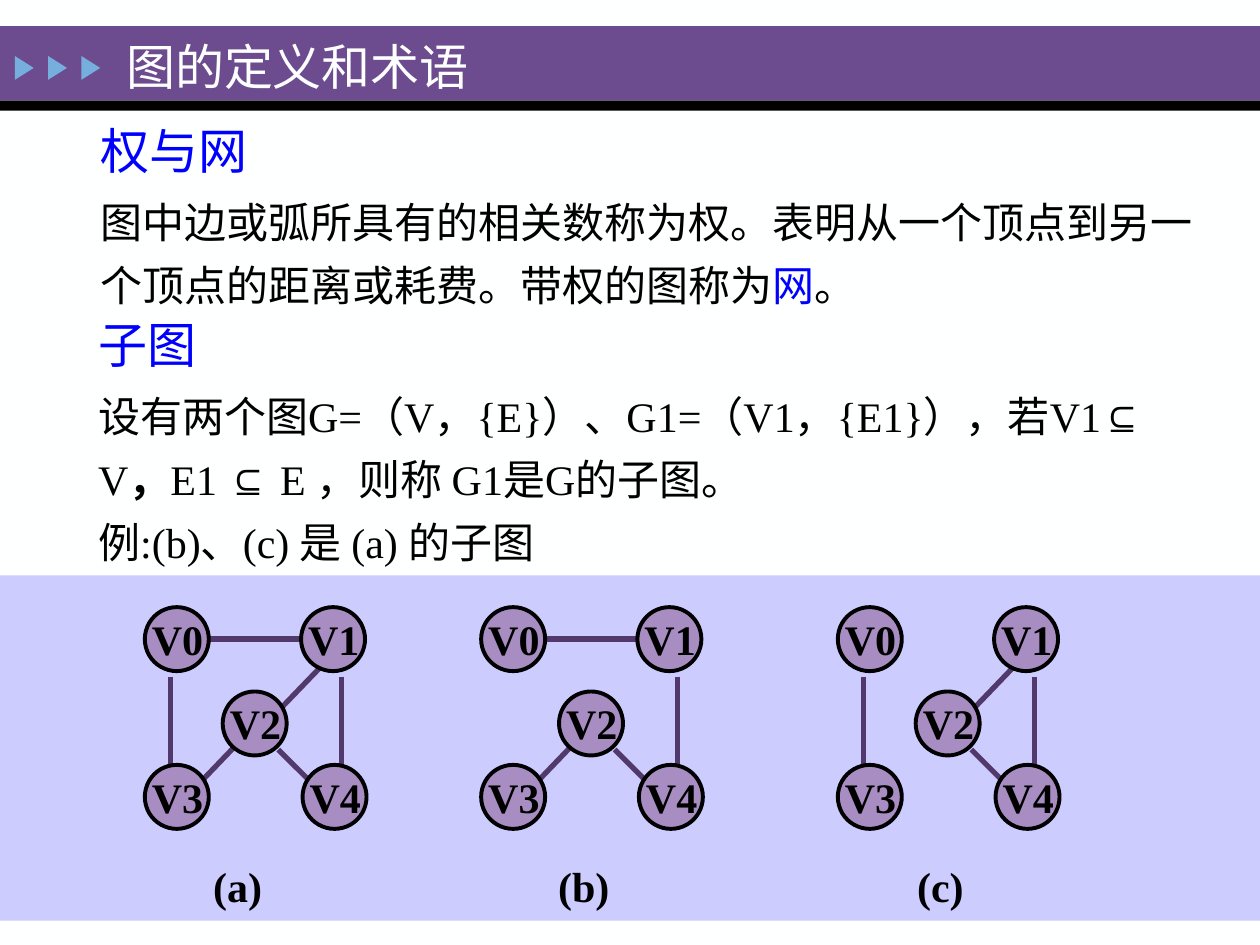
from lxml.etree import SubElement
from pptx import Presentation
from pptx.dml.color import RGBColor
from pptx.enum.shapes import MSO_CONNECTOR, MSO_SHAPE
from pptx.enum.text import MSO_ANCHOR, MSO_AUTO_SIZE, PP_ALIGN
from pptx.oxml.ns import qn
from pptx.util import Cm, Pt

COLORS = {
    "background": "FEFFFF",
    "banner": "6C4C8F",
    "arrow": "76AEDD",
    "panel": "CCCCFF",
    "node": "A78DC2",
    "edge": "51396B",
    "heading": "0000FF",
    "text": "000000",
}
FONT = "Times New Roman"

# Vertices and edges in cm, measured from the top left corner of a graph
NODE_SIZE = 1.29
NODES = {
    "V0": (0, 0),
    "V1": (3.15, 0),
    "V2": (1.57, 1.7),
    "V3": (0, 3.18),
    "V4": (3.18, 3.18),
}
EDGES = {
    "V0-V1": (1.27, 0.64, 3.35, 0.64),
    "V0-V3": (0.51, 1.4, 0.51, 3.23),
    "V1-V2": (3.51, 1.24, 2.77, 2.01),
    "V1-V4": (3.96, 1.4, 3.96, 3.23),
    "V2-V3": (1.85, 2.77, 1.12, 3.53),
    "V2-V4": (2.69, 2.87, 3.35, 3.53),
}
GRAPH_TOP = 12.24
# Caption, left of the graph, left of the caption, edges
GRAPHS = [
    ("(a)", 2.92, 3.23, list(EDGES)),
    ("(b)", 9.7, 10.21, ["V0-V1", "V1-V4", "V2-V3", "V2-V4"]),
    ("(c)", 16.89, 17.4, ["V0-V3", "V1-V2", "V1-V4", "V2-V4"]),
]


def rgb(name):
    return RGBColor.from_string(COLORS[name])


def style(font, size, color="text", bold=False):
    font.name = FONT
    font.size = Pt(size)
    font.bold = bold
    font.color.rgb = rgb(color)


def add_filled(shapes, kind, left, top, width, height, color):
    shape = shapes.add_shape(kind, Cm(left), Cm(top), Cm(width), Cm(height))
    shape.shadow.inherit = False
    shape.fill.solid()
    shape.fill.fore_color.rgb = rgb(color)
    shape.line.fill.background()
    return shape


def add_text(shapes, left, top, width, height, wrap=True):
    """Add a growing text box and return its first paragraph."""
    frame = shapes.add_textbox(Cm(left), Cm(top), Cm(width), Cm(height)).text_frame
    frame.word_wrap = wrap
    frame.auto_size = MSO_AUTO_SIZE.SHAPE_TO_FIT_TEXT
    return frame.paragraphs[0]


def add_heading(shapes, text, left, top, width, wrap=True):
    heading = add_text(shapes, left, top, width, 1.45, wrap)
    heading.text = text
    style(heading.font, 28, "heading")


def add_label(shapes, text, left, top, width):
    label = add_text(shapes, left, top, width, 1.27)
    label.text = text
    label.alignment = PP_ALIGN.CENTER
    style(label.font, 24, bold=True)


def add_body(shapes, left, top, width, height):
    body = add_text(shapes, left, top, width, height)
    body.line_spacing = 1.25
    style(body.font, 24)
    return body


def add_edge(shapes, left, x1, y1, x2, y2):
    edge = shapes.add_connector(
        MSO_CONNECTOR.STRAIGHT,
        Cm(left + x1), Cm(GRAPH_TOP + y1), Cm(left + x2), Cm(GRAPH_TOP + y2),
    )
    edge.line.color.rgb = rgb("edge")
    edge.line.width = Pt(3)
    SubElement(edge._element.spPr, qn("a:effectLst"))


def add_node(shapes, name, left, top):
    node = add_filled(shapes, MSO_SHAPE.OVAL, left, top, NODE_SIZE, NODE_SIZE, "node")
    node.line.color.rgb = rgb("text")
    node.line.width = Pt(2.25)
    add_label(shapes, name, left - 0.24, top, 1.8)


def add_graph(slide, left, edges):
    graph = slide.shapes.add_group_shape().shapes
    for edge in edges:
        add_edge(graph, left, *EDGES[edge])
    for name, (x, y) in NODES.items():
        add_node(graph, name, left + x, GRAPH_TOP + y)


def add_banner(slide):
    shapes = slide.shapes
    add_filled(shapes, MSO_SHAPE.RECTANGLE, 0, 0.53, 25.4, 1.5, "banner")
    add_filled(shapes, MSO_SHAPE.RECTANGLE, 0, 2.03, 25.4, 0.2, "text")
    arrows = shapes.add_group_shape().shapes
    for i in range(3):
        arrow = add_filled(arrows, MSO_SHAPE.ISOSCELES_TRIANGLE,
                           0.25 + 0.67 * i, 1.18, 0.48, 0.38, "arrow")
        arrow.rotation = 90


def set_title(slide, text):
    title = slide.shapes.title
    title.left, title.top, title.width, title.height = (
        Cm(2.29), Cm(0.38), Cm(17.1), Cm(1.9))
    frame = title.text_frame
    frame.text = text
    frame.auto_size = MSO_AUTO_SIZE.NONE
    frame.vertical_anchor = MSO_ANCHOR.MIDDLE
    frame.paragraphs[0].alignment = PP_ALIGN.LEFT
    style(frame.paragraphs[0].font, 28, "background")
    # Bring the title in front of the banner
    title._element.getparent().append(title._element)


def add_definitions(shapes):
    add_heading(shapes, "子图", 1.73, 6.22, 2.49, wrap=False)
    subgraph = add_body(shapes, 1.73, 7.49, 21.59, 4.11)
    for text, bold in [
        ("设有两个图G=（V，{E}）、G1=（V1，{E1}），若V1", False),
        ("⊆ ", True),
        ("V", False),
        ("，", True),
        ("E1 ", False),
        ("⊆ ", True),
        ("E ，则称 G1是G的子图。", False),
    ]:
        run = subgraph.add_run()
        run.text = text
        run.font.bold = bold
    subgraph.add_line_break()
    subgraph.add_run().text = "例:(b)、(c) 是 (a) 的子图"

    add_heading(shapes, "权与网", 1.78, 2.31, 6.55)
    network = add_body(shapes, 1.78, 3.58, 23.06, 2.69)
    network.add_run().text = (
        "图中边或弧所具有的相关数称为权。"
        "表明从一个顶点到另一个顶点的距离或耗费。带权的图称为")
    term = network.add_run()
    term.text = "网"
    term.font.color.rgb = rgb("heading")
    network.add_run().text = "。"


def main():
    deck = Presentation()
    deck.slide_width, deck.slide_height = Cm(25.4), Cm(19.05)
    slide = deck.slides.add_slide(deck.slide_layouts[5])
    slide.background.fill.solid()
    slide.background.fill.fore_color.rgb = rgb("background")

    add_banner(slide)
    add_filled(slide.shapes, MSO_SHAPE.RECTANGLE, 0, 11.6, 25.4, 6.96, "panel")
    for caption, left, caption_left, edges in GRAPHS:
        add_label(slide.shapes, caption, caption_left, 17.22, 3.12)
        add_graph(slide, left, edges)
    add_definitions(slide.shapes)
    set_title(slide, "图的定义和术语")
    deck.save("out.pptx")


if __name__ == "__main__":
    main()
